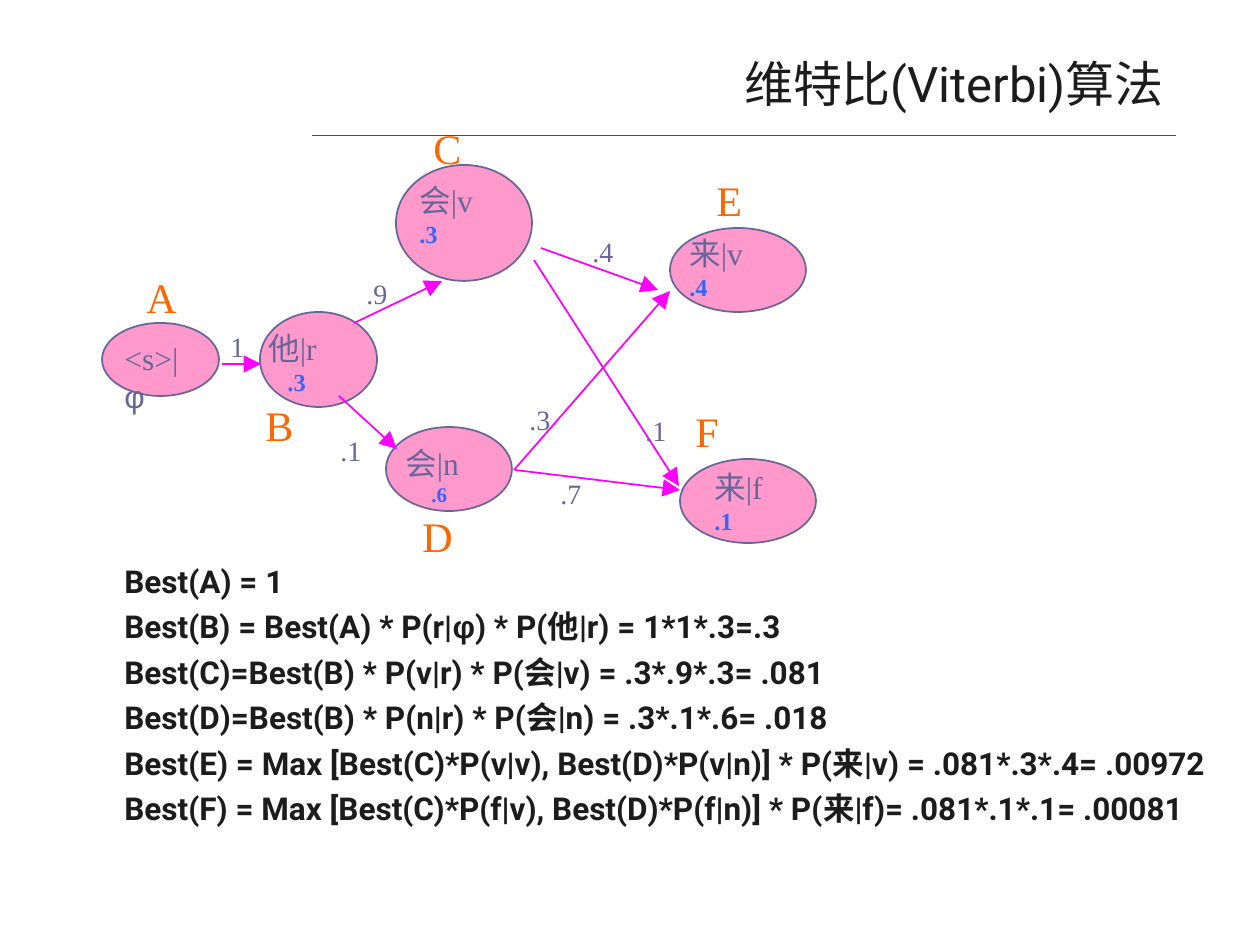
from lxml.etree import SubElement
from pptx import Presentation
from pptx.dml.color import RGBColor
from pptx.enum.shapes import MSO_CONNECTOR, MSO_SHAPE
from pptx.enum.text import MSO_ANCHOR, PP_ALIGN
from pptx.oxml.ns import qn
from pptx.util import Pt

PX = 914400 // 126

INK = RGBColor(0x1C, 0x1C, 0x1C)
RULE = RGBColor(0x4D, 0x4D, 0x4D)
PINK = RGBColor(0xFF, 0x99, 0xCC)
SLATE = RGBColor(0x66, 0x66, 0x99)
BLUE = RGBColor(0x33, 0x66, 0xFF)
MAGENTA = RGBColor(0xFF, 0x00, 0xFF)
ORANGE = RGBColor(0xFF, 0x66, 0x00)
SANS, SERIF, GREEK = "Roboto", "Times New Roman", "Arial"

# ellipse, text box relative to the ellipse, word, probability, its size
# and indent, letter position
NODES = {
    "A": ((2, 213, 117, 73), (10, 10, 96, 50), "<s>|φ", None, 0, 0, (34, 155)),
    "B": ((160, 202, 117, 95), (-4, 11, 81, 81), "他|r", ".3", 14, 19, (153, 283)),
    "C": ((296, 55, 136, 116), (11, 10, 131, 81), "会|v", ".3", 14, 0, (321, 6)),
    "D": ((286, 317, 126, 84), (7, 11, 86, 76), "会|n", ".6", 12, 26, (310, 394)),
    "E": ((570, 118, 136, 84), (7, 0, 86, 110), "来|v", ".4", 14, 0, (604, 58)),
    "F": ((580, 349, 136, 84), (22, 3, 146, 81), "来|f", ".1", 14, 0, (583, 289)),
}

# arrow from, arrow to, probability, label position
TRANSITIONS = [
    ((122, 254), (161, 254), "1", (118, 213)),
    ((254, 213), (342, 171), ".9", (254, 160)),
    ((239, 286), (297, 339), ".1", (228, 317)),
    ((441, 138), (558, 180), ".4", (480, 118)),
    ((434, 150), (579, 376), ".1", (533, 297)),
    ((414, 360), (570, 181), ".3", (417, 286)),
    ((415, 360), (580, 380), ".7", (448, 360)),
]

FORMULAS = [
    "Best(A) = 1",
    "Best(B) = Best(A) * P(r|φ) * P(他|r) = 1*1*.3=.3",
    "Best(C)=Best(B) * P(v|r) * P(会|v) = .3*.9*.3= .081",
    "Best(D)=Best(B) * P(n|r) * P(会|n) = .3*.1*.6= .018",
    "Best(E) = Max [Best(C)*P(v|v), Best(D)*P(v|n)] * P(来|v) = .081*.3*.4= .00972",
    "Best(F) = Max [Best(C)*P(f|v), Best(D)*P(f|n)] * P(来|f)= .081*.1*.1= .00081",
]


def emu(*lengths):
    return [n * PX for n in lengths]


def add_box(s, x, y, w, h, wrap=False):
    tf = s.shapes.add_textbox(*emu(x, y, w, h)).text_frame
    tf.word_wrap = wrap
    return tf


def write(p, text, size, color, font=SERIF, bold=False):
    """Fill a paragraph, with φ in its own font."""
    p.font.size, p.font.name, p.font.bold = Pt(size), font, bold
    p.font.color.rgb = color
    for part in text.partition("φ"):
        if part:
            r = p.add_run()
            r.text = part
            if part == "φ":
                r.font.name = GREEK


def indent(p, left, first=0):
    pPr = p._p.get_or_add_pPr()
    pPr.set("marL", str(left * PX))
    pPr.set("indent", str(first * PX))


def add_line(s, start, end, color, width, arrow=False):
    c = s.shapes.add_connector(MSO_CONNECTOR.STRAIGHT, *emu(*start, *end))
    c.line.color.rgb = color
    c.line.width = Pt(width)
    spPr = c._element.spPr
    if arrow:
        SubElement(spPr.find(qn("a:ln")), qn("a:tailEnd"),
                   type="triangle", w="lg", len="lg")
    SubElement(spPr, qn("a:effectLst"))


def add_title(s, x, y, w, h):
    tf = add_box(s, x, y, w, h, wrap=True)
    tf.vertical_anchor = MSO_ANCHOR.MIDDLE
    p = tf.paragraphs[0]
    p.alignment = PP_ALIGN.RIGHT
    write(p, "维特比(Viterbi)算法", 28, INK, SANS)
    add_line(s, (x + 225, y + 91), (x + w, y + 91), RULE, 0.25)


def add_trellis(s, x, y):
    # Ellipses
    for (ex, ey, ew, eh), *_ in NODES.values():
        sp = s.shapes.add_shape(MSO_SHAPE.OVAL, *emu(x + ex, y + ey, ew, eh))
        sp.shadow.inherit = False
        sp.fill.solid()
        sp.fill.fore_color.rgb = PINK
        sp.line.color.rgb = SLATE
        sp.line.width = Pt(1)

    # Arrows and transition probabilities
    for start, end, label, (lx, ly) in TRANSITIONS:
        (x1, y1), (x2, y2) = start, end
        add_line(s, (x + x1, y + y1), (x + x2, y + y2), MAGENTA, 1, arrow=True)
        tf = add_box(s, x + lx, y + ly, 56, 47)
        write(tf.paragraphs[0], label, 16, SLATE)

    # Words, their probabilities and node letters
    for letter, (oval, inner, word, prob, size, left, (lx, ly)) in NODES.items():
        dx, dy, w, h = inner
        tf = add_box(s, x + oval[0] + dx, y + oval[1] + dy, w, h, wrap=not prob)
        write(tf.paragraphs[0], word, 18, SLATE)
        if prob:
            p = tf.add_paragraph()
            indent(p, left)
            write(p, prob, size, BLUE, bold=True)
        tf = add_box(s, x + lx, y + ly, 53, 63)
        write(tf.paragraphs[0], letter, 24, ORANGE)


def add_formulas(s, x, y, w, h):
    tf = add_box(s, x, y, w, h, wrap=True)
    for i, formula in enumerate(FORMULAS):
        p = tf.add_paragraph() if i else tf.paragraphs[0]
        indent(p, 48, 1)
        p.line_spacing = Pt(18)
        p.space_before = Pt(4 if i else 0)
        p.space_after = Pt(4)
        write(p, formula, 18, INK, SANS, bold=True)


def main():
    prs = Presentation()
    prs.slide_width, prs.slide_height = emu(1260, 945)
    s = prs.slides.add_slide(prs.slide_layouts[6])
    add_title(s, 87, 44, 1089, 78)
    add_trellis(s, 100, 110)
    add_formulas(s, 63, 562, 1163, 335)
    prs.save("out.pptx")


if __name__ == "__main__":
    main()
